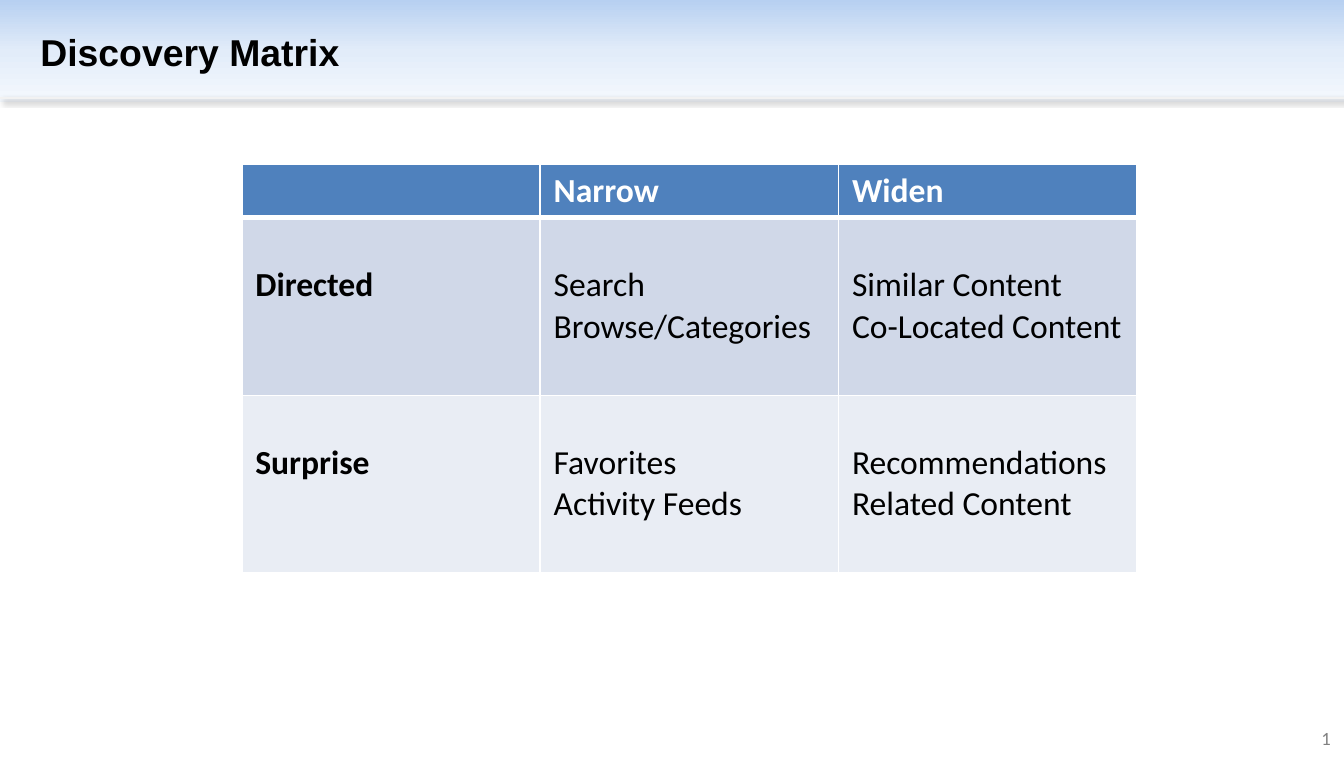
import copy

import lxml.etree
import pptx
import pptx.dml.color
import pptx.enum.shapes
import pptx.enum.text
import pptx.oxml.ns
import pptx.util

Inches = pptx.util.Inches
Pt = pptx.util.Pt
qn = pptx.oxml.ns.qn
Align = pptx.enum.text.PP_ALIGN
Anchor = pptx.enum.text.MSO_ANCHOR

HEADER_FILL = "4F81BD"
ROWS = [
    ("D0D8E8", ["Directed"], ["Search", "Browse/Categories"],
     ["Similar Content", "Co-Located Content"]),
    ("E9EDF4", ["Surprise"], ["Favorites", "Activity Feeds"],
     ["Recommendations", "Related Content"]),
]


def rgb(value):
    """Turn a hex string into a colour."""
    return pptx.dml.color.RGBColor.from_string(value)


def sub(parent, tag, **attrs):
    """Add an XML child with the given attributes."""
    return lxml.etree.SubElement(parent, qn(tag), {k: str(v) for k, v in attrs.items()})


def write(tf, lines, color, align=Align.LEFT, **font):
    """Write one paragraph per line with the given font values."""
    for i, line in enumerate(lines):
        p = tf.paragraphs[0] if i == 0 else tf.add_paragraph()
        p.alignment = align
        r = p.add_run()
        r.text = line
        r.font.color.rgb = rgb(color)
        for name, value in font.items():
            setattr(r.font, name, value)


def add_text(s, box, text, color, align=Align.LEFT, frame=None, **font):
    """Add a wrapped text box; frame holds text frame values."""
    tf = s.shapes.add_textbox(*map(Inches, box)).text_frame
    tf.word_wrap = True
    for name, value in (frame or {}).items():
        setattr(tf, name, value)
    write(tf, [text], color, align, **font)


def add_band(s, box, stops):
    """Add a rectangle with a gradient running from top to bottom."""
    sp = s.shapes.add_shape(pptx.enum.shapes.MSO_SHAPE.RECTANGLE, *map(Inches, box))
    sp.shadow.inherit = False
    sp.line.fill.background()
    sp.fill.gradient()
    sp.fill.gradient_angle = 270
    gs_list = next(sp._element.spPr.iter(qn("a:gsLst")))
    gs_list.append(copy.deepcopy(gs_list[0]))
    for stop, (position, color) in zip(sp.fill.gradient_stops, stops):
        stop.position = position
        stop.color.rgb = rgb(color)


def add_rule(s, y, width, color):
    """Add a horizontal line with a soft shadow below it."""
    line = s.shapes.add_connector(pptx.enum.shapes.MSO_CONNECTOR.STRAIGHT,
                                  0, Inches(y), Inches(width), Inches(y))
    line.line.color.rgb = rgb(color)
    line.line.width = Pt(0.75)
    effects = sub(line._element.spPr, "a:effectLst")
    shadow = sub(effects, "a:outerShdw", blurRad=Pt(3), dist=Pt(2),
                 dir=45 * 60000, algn="tl", rotWithShape=0)
    sub(sub(shadow, "a:srgbClr", val="000000"), "a:alpha", val=40000)


def fill_cell(cell, lines, fill, color, bottom=1, top=0.05, **font):
    """Set the borders, fill, top margin and text of a cell."""
    tc_pr = cell._tc.get_or_add_tcPr()
    for side, width in zip("LRTB", (1, 1, 1, bottom)):
        ln = sub(tc_pr, "a:ln" + side, w=Pt(width))
        sub(sub(ln, "a:solidFill"), "a:srgbClr", val="FFFFFF")
    cell.fill.solid()
    cell.fill.fore_color.rgb = rgb(fill)
    cell.margin_top = Inches(top)
    write(cell.text_frame, lines, color, name="Calibri", size=Pt(18), **font)


def add_matrix(s):
    """Add the discovery table with its header row and two body rows."""
    tbl = s.shapes.add_table(3, 3, *map(Inches, (1.8, 1.22, 6.66, 3.04))).table
    for col in tbl.columns:
        col.width = Inches(2.22)
    for row, height in zip(tbl.rows, (0.4, 1.32, 1.32)):
        row.height = Inches(height)
    for j, lines in enumerate(([], ["Narrow"], ["Widen"])):
        fill_cell(tbl.cell(0, j), lines, HEADER_FILL, "FFFFFF", bottom=3, bold=True)
    for i, (fill, *cells) in enumerate(ROWS, 1):
        for j, lines in enumerate(cells):
            fill_cell(tbl.cell(i, j), lines, fill, "000000",
                      bottom=1, top=0.35, bold=j == 0)
            if i == 1:
                top_line = tbl.cell(i, j)._tc.tcPr.find(qn("a:lnT"))
                top_line.set("w", str(Pt(3)))


def main():
    """Build the slide and save it."""
    prs = pptx.Presentation()
    prs.slide_width, prs.slide_height = Inches(10), Inches(5.63)
    s = prs.slides.add_slide(prs.slide_layouts[6])
    add_band(s, (0, 0, 10, 0.76), [(0, "B7D0F1"), (0.5, "E2ECF9"), (1, "F4F8FD")])
    add_rule(s, 0.73, 10, "F2F2F2")
    add_text(s, (8.88, 5.36, 1.12, 0.27), "1", "808080", Align.RIGHT,
             name="Calibri", size=Pt(10))
    add_text(s, (0, 0, 8.58, 0.76), "Discovery Matrix", "000000",
             frame={"vertical_anchor": Anchor.MIDDLE, "margin_left": Inches(0.3)},
             name="Arial", size=Pt(20), bold=True)
    add_matrix(s)
    prs.save("out.pptx")


main()
